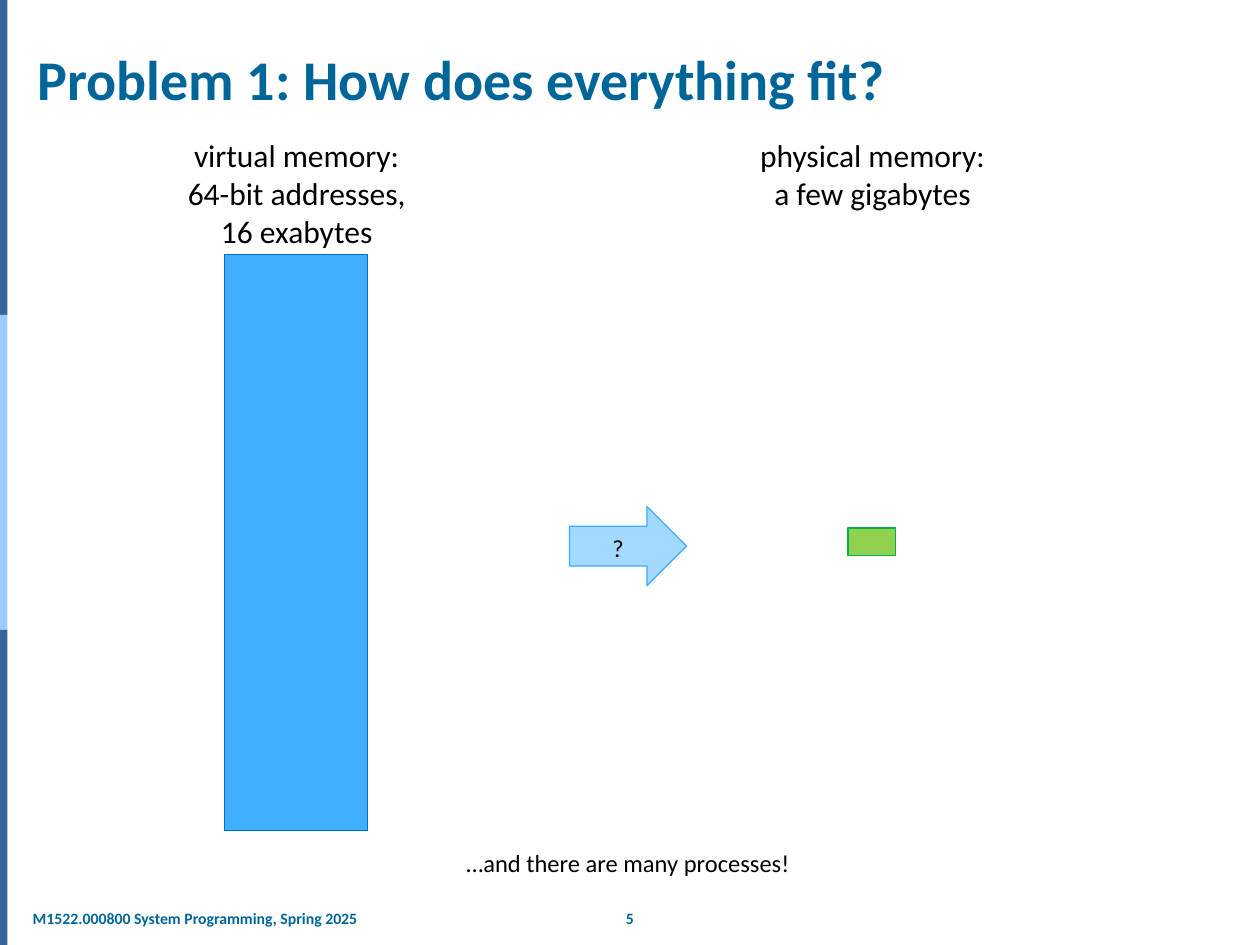
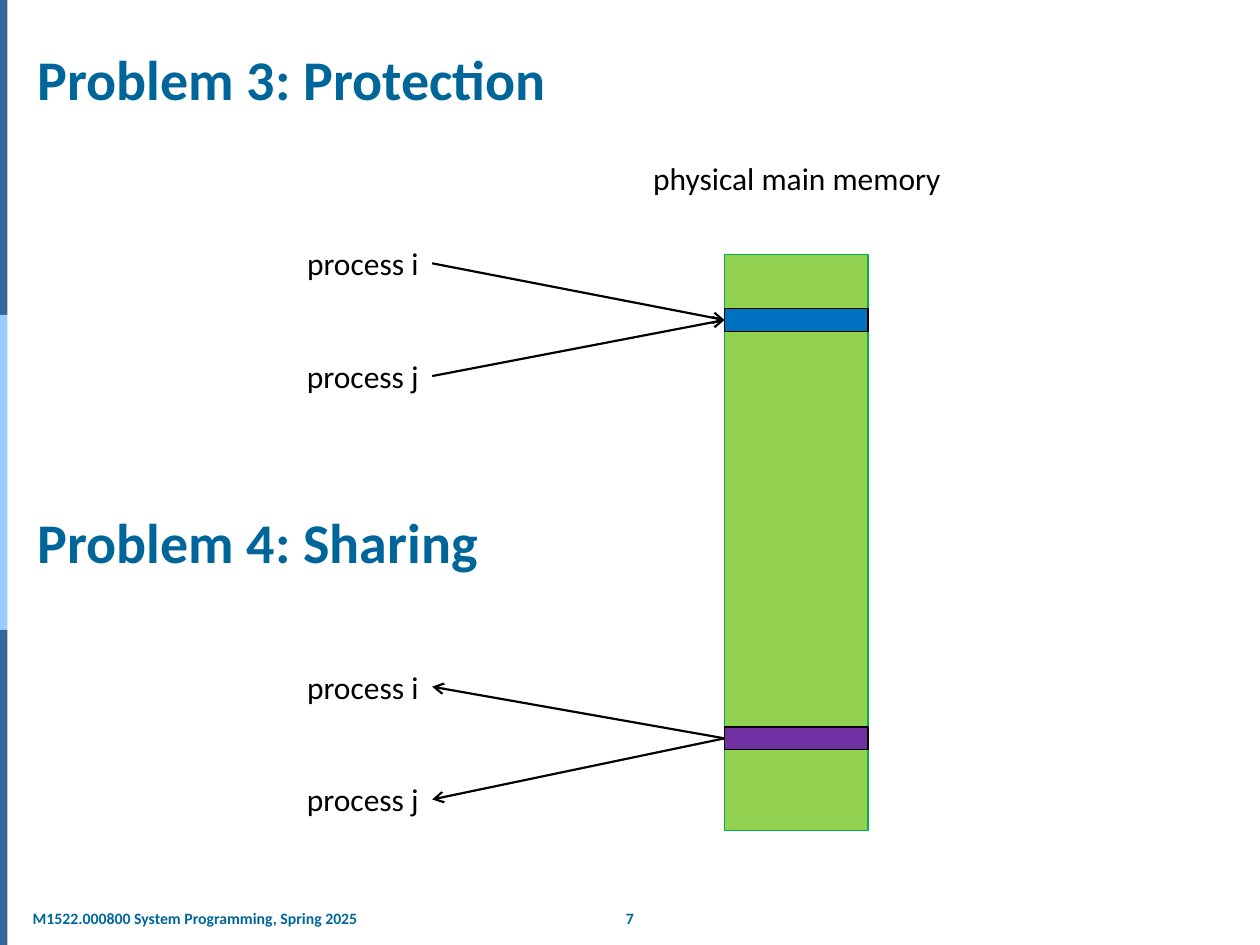
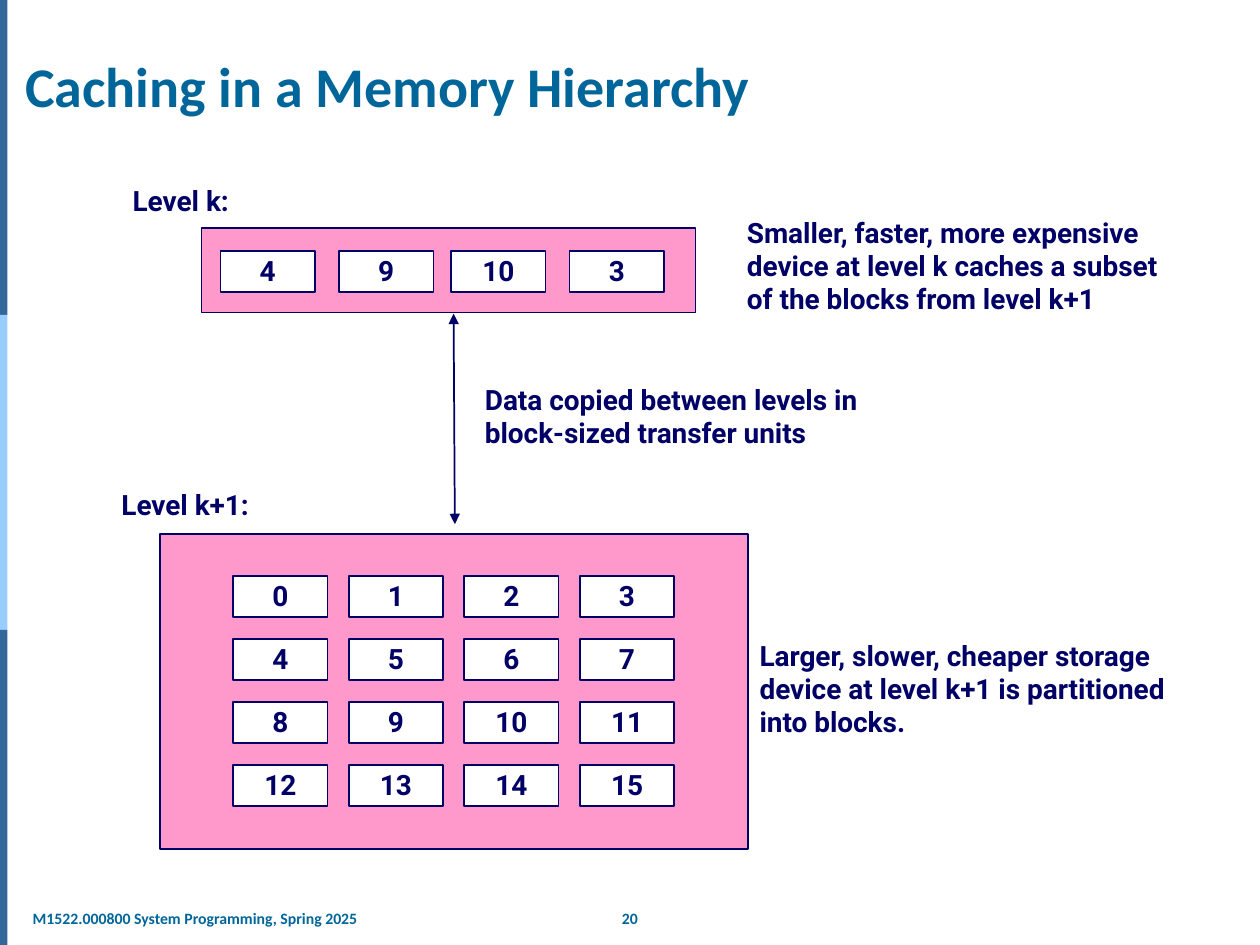
import pptx
import pptx.util
import pptx.dml.color
import pptx.enum.shapes
import pptx.enum.text
import pptx.oxml

SHAPE = pptx.enum.shapes.MSO_SHAPE
ALIGN = pptx.enum.text.PP_ALIGN
ANCHOR = pptx.enum.text.MSO_ANCHOR
FIT = pptx.enum.text.MSO_AUTO_SIZE
COLS, ROWS = 100, 75
WIDE, HIGH = pptx.util.Inches(10), pptx.util.Inches(7.5)

TEAL, STEEL, SKY = "006699", "336699", "99CCFF"
BLACK, WHITE, NAVY, PINK = "000000", "FFFFFF", "000066", "FF99CC"
LIME, GREEN, BLUE = "92D050", "00B050", "0070C0"

TITLE = ("Calibri", 32, TEAL, True)
SMALL = ("Calibri", 9, TEAL, True)
LABEL = ("Calibri", 18, BLACK, False)
NOTE = ("Calibri", 14, BLACK, False)
BLOCK = ("Roboto", 16, NAVY, True)

BAR = (11.4, 45.7)
CELL = (7.5, 3.3)


def tint(code):
    return pptx.dml.color.RGBColor.from_string(code)


def grid(box):
    x, y, w, h = box
    return [round(part) for part in (x * WIDE / COLS, y * HIGH / ROWS,
                                     w * WIDE / COLS, h * HIGH / ROWS)]


def inner(box, x, y, w, h):
    return box[0] + x, box[1] + y, w, h


def write(shape, lines, style, align=ALIGN.CENTER, anchor=ANCHOR.TOP,
          wrap=False, space=None):
    font, size, hue, bold = style
    frame = shape.text_frame
    frame.word_wrap = wrap
    frame.vertical_anchor = anchor
    for row, line in enumerate(lines):
        para = frame.add_paragraph() if row else frame.paragraphs[0]
        para.alignment = align
        if space:
            para.line_spacing = space
        run = para.add_run()
        run.text = line
        run.font.name = font
        run.font.size = pptx.util.Pt(size)
        run.font.bold = bold
        run.font.color.rgb = tint(hue)
    return frame


def label(page, box, lines, style, grow=True, **look):
    shape = page.shapes.add_textbox(*grid(box))
    frame = write(shape, lines, style, **look)
    frame.auto_size = FIT.SHAPE_TO_FIT_TEXT if grow else FIT.NONE
    return shape


def solid(page, box, fill, edge=None, width=0.75, kind=SHAPE.RECTANGLE):
    shape = page.shapes.add_shape(kind, *grid(box))
    shape.shadow.inherit = False
    shape.fill.solid()
    shape.fill.fore_color.rgb = tint(fill)
    if edge:
        shape.line.color.rgb = tint(edge)
        shape.line.width = pptx.util.Pt(width)
    else:
        shape.line.fill.background()
    return shape


def arrow(page, box, hue, width, **ends):
    x, y, w, h = grid(box)
    line = page.shapes.add_connector(
        pptx.enum.shapes.MSO_CONNECTOR.STRAIGHT, x, y, x + w, y + h)
    line.line.color.rgb = tint(hue)
    line.line.width = pptx.util.Pt(width)
    space = 'xmlns:a="http://schemas.openxmlformats.org/drawingml/2006/main"'
    stroke = line.line._get_or_add_ln()
    for end in ("head", "tail"):
        if end in ends:
            stroke.append(pptx.oxml.parse_xml(
                f'<a:{end}End {space} type="{ends[end]}"/>'))
    line._element.spPr.append(pptx.oxml.parse_xml(f"<a:effectLst {space}/>"))
    return line


def title(page, text, top=3.1, inset=None):
    shape = label(page, (2, top, 96.5, 6.3), [text], TITLE, grow=False,
                  align=ALIGN.LEFT, anchor=ANCHOR.BOTTOM, wrap=True)
    if inset is not None:
        frame = shape.text_frame
        frame.margin_left = frame.margin_right = inset
        frame.margin_top = frame.margin_bottom = inset


def start(deck, number, text, **look):
    page = deck.slides.add_slide(deck.slide_layouts[6])
    for band, hue in enumerate((STEEL, SKY, STEEL)):
        solid(page, (0, band * ROWS / 3, 0.6, ROWS / 3), hue)
    label(page, (48.2, 71.6, 3.6, 2.5), [str(number)], SMALL)
    foot = label(page, (2, 71.6, 27.2, 2.5),
                 ["M1522.000800 System Programming, Spring 2025"], SMALL,
                 align=ALIGN.LEFT)
    foot.text_frame.margin_left = pptx.util.Inches(0.06)
    foot.text_frame.margin_right = pptx.util.Inches(0.06)
    title(page, text, **look)
    return page


def space(page, box):
    label(page, inner(box, 0, 0, 19.5, 10.1),
          ["virtual memory:", "64-bit addresses,", "16 exabytes"], LABEL)
    solid(page, inner(box, 4, 9.9, *BAR), "40AFFF", BLUE)


def store(page, box):
    label(page, inner(box, 0, 0, 20.1, 7.1),
          ["physical memory:", "a few gigabytes"], LABEL)
    solid(page, inner(box, 8.1, 31.6, 3.8, 2.2), LIME, GREEN)


def fork(page, box, drop, hue, **ends):
    left, top, wide, high = box
    band = solid(page, inner(box, wide - BAR[0], drop, BAR[0], 1.8),
                 hue, BLACK)
    for name, y in (("process i", 0), ("process j", high - 4)):
        task = label(page, inner(box, 0, y, 11, 4), [name], LABEL)
        line = arrow(page, inner(box, 11, y + 2, wide - 11 - BAR[0],
                                 drop + 0.9 - y - 2), BLACK, 1.25, **ends)
        line.begin_connect(task, 3)
        line.end_connect(band, 1)


def level(page, box, name, shift, rows, xs, top, step=5):
    label(page, inner(box, *shift), [name], BLOCK,
          anchor=ANCHOR.MIDDLE, space=0.98)
    solid(page, box, PINK, NAVY, 1)
    for row, items in enumerate(rows):
        for x, item in zip(xs, items):
            cell = solid(page, inner(box, x, top + row * step, *CELL),
                         WHITE, NAVY, 1)
            write(cell, [str(item)], BLOCK, anchor=ANCHOR.MIDDLE, space=0.98)


def remark(page, box, lines, wrap=False):
    label(page, box, lines, BLOCK, align=ALIGN.LEFT, anchor=ANCHOR.MIDDLE,
          wrap=wrap, space=0.98)


def fitting(deck):
    page = start(deck, 5, "Problem 1: How does everything fit?")
    space(page, (13.8, 10.3, 19.5, 55.6))
    store(page, (59.2, 10.3, 20.1, 33.8))
    query = solid(page, (45.2, 40.2, 9.3, 6.3), "A3D8FF", "3BACFF",
                  kind=SHAPE.RIGHT_ARROW)
    write(query, ["?"], NOTE)
    label(page, (35.9, 66.8, 27.9, 3.4),
          ["…and there are many processes!"], NOTE)


def sharing(deck):
    page = start(deck, 7, "Problem 3: Protection")
    title(page, "Problem 4: Sharing", top=39.8)
    solid(page, (57.5, 20.2, *BAR), LIME, GREEN)
    label(page, (50.7, 12.1, 25.1, 4), ["physical main memory"], LABEL)
    fork(page, (23.3, 18.9, 45.6, 12.95), 5.6, BLUE, tail="arrow")
    fork(page, (23.3, 52.5, 45.6, 12.95), 5.2, "7030A0", head="arrow")


def caching(deck):
    page = start(deck, 20, "Caching in a Memory Hierarchy", inset=0)
    level(page, (16, 18.1, 39.2, 6.7), "Level k:", (-6.8, -3.9, 10.3, 3.6),
          [(4, 9, 10, 3)], (1.5, 10.9, 19.8, 29.2), 1.8)
    level(page, (12.7, 42.4, 46.7, 25), "Level k+1:", (-4.4, -4.1, 12.8, 3.6),
          [range(row, row + 4) for row in range(0, 16, 4)],
          [5.8 + 9.17 * col for col in range(4)], 3.3)
    remark(page, (58.3, 16.7, 36.7, 8.9),
           ["Smaller, faster, more expensive",
            "device at level k caches a subset",
            "of the blocks from level k+1"])
    remark(page, (59.3, 50.3, 36.1, 8.9),
           ["Larger, slower, cheaper storage",
            "device at level k+1 is partitioned",
            "into blocks."])
    remark(page, (37.5, 30, 33.8, 6.2),
           ["Data copied between levels in block-sized transfer units"],
           wrap=True)
    arrow(page, (36, 24.9, 0.1, 16.7), NAVY, 1,
          head="triangle", tail="triangle")


def main():
    deck = pptx.Presentation()
    deck.slide_width, deck.slide_height = WIDE, HIGH
    fitting(deck)
    sharing(deck)
    caching(deck)
    deck.save("out.pptx")


if __name__ == "__main__":
    main()
